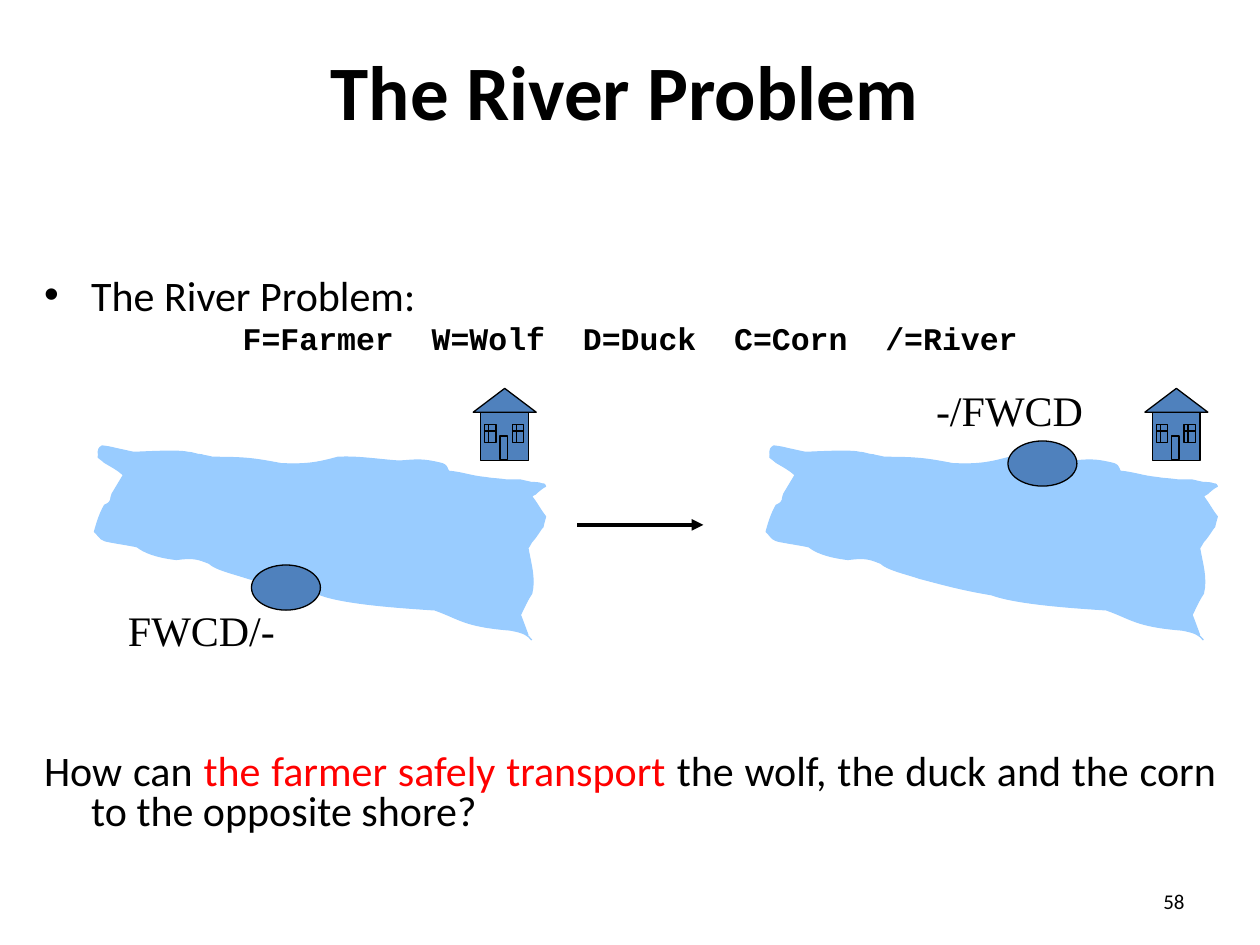
from lxml import etree
from pptx import Presentation
from pptx.dml.color import RGBColor
from pptx.enum.shapes import MSO_CONNECTOR, MSO_SHAPE
from pptx.enum.text import MSO_ANCHOR, PP_ALIGN
from pptx.oxml.ns import qn
from pptx.util import Cm, Pt

LINE = MSO_CONNECTOR.STRAIGHT
RECT, OVAL, ROOF = MSO_SHAPE.RECTANGLE, MSO_SHAPE.OVAL, MSO_SHAPE.FLOWCHART_EXTRACT
TOP, MID = MSO_ANCHOR.TOP, MSO_ANCHOR.MIDDLE
LEFT, MIDST, RIGHT, FULL = PP_ALIGN.LEFT, PP_ALIGN.CENTER, PP_ALIGN.RIGHT, PP_ALIGN.JUSTIFY
BLACK, BLUE, WATER, RED = "000000", "4F81BD", "99CCFF", "FF0000"
SHIFT = 13.54
UNIT = 0.0254

START = (422, 508)
BANK = [
    (419, 504, 416, 502, 405, 500), (368, 497, 365, 491, 345, 484),
    (314, 482, 273, 479, 254, 472), (230, 468, 216, 464, 197, 459),
    (185, 455, 171, 452, 166, 447), (158, 444, 155, 442, 140, 444),
    (123, 442, 114, 438, 109, 434), (106, 433, 85, 430, 83, 429),
    (79, 428, 77, 423, 75, 422), (77, 415, 79, 408, 83, 401),
    (90, 398, 87, 396, 89, 392), (92, 387, 95, 382, 98, 377),
    (94, 373, 88, 370, 83, 367), (82, 366, 78, 363, 78, 363),
    (79, 360, 76, 357, 81, 354), (82, 354, 89, 355, 92, 356),
    (97, 357, 101, 358, 106, 359), (111, 359, 141, 357, 149, 359),
    (153, 359, 156, 361, 160, 361), (163, 362, 166, 362, 169, 363),
    (195, 363, 202, 364, 223, 368), (244, 369, 253, 367, 268, 363),
    (284, 362, 301, 365, 317, 366), (331, 365, 335, 364, 351, 368),
    (356, 370, 354, 372, 356, 374), (367, 375, 374, 378, 385, 379),
    (390, 380, 396, 380, 402, 381), (406, 381, 410, 381, 413, 381),
    (416, 382, 419, 382, 422, 383), (424, 383, 428, 383, 430, 384),
    (433, 384, 432, 385, 433, 386), (432, 386, 427, 390, 425, 392),
    (424, 392, 422, 394, 422, 394), (426, 399, 429, 405, 433, 410),
    (429, 424, 433, 414, 428, 422), (426, 425, 424, 428, 422, 430),
    (421, 432, 419, 435, 419, 435), (421, 447, 425, 459, 422, 471),
    (418, 477, 416, 482, 413, 488), (415, 493, 419, 504, 419, 504),
]


def hue(code):
    return RGBColor.from_string(code)


def paint(shape, fill, edge):
    shape.shadow.inherit = False
    shape.fill.solid()
    shape.fill.fore_color.rgb = hue(fill)
    shape.line.color.rgb = hue(edge)
    shape.line.width = Pt(0.75)


def block(shapes, kind, x, y, w, h):
    shape = shapes.add_shape(kind, Cm(x), Cm(y), Cm(w), Cm(h))
    paint(shape, BLUE, BLACK)


def stroke(shapes, x1, y1, x2, y2, width=0.75, head=False):
    line = shapes.add_connector(LINE, Cm(x1), Cm(y1), Cm(x2), Cm(y2))
    line.line.color.rgb = hue(BLACK)
    line.line.width = Pt(width)
    if head:
        etree.SubElement(line.line._get_or_add_ln(), qn("a:tailEnd"), type="triangle")
    etree.SubElement(line._element.spPr, qn("a:effectLst"))


def frame(shapes, x, y, w, h, anchor=TOP, wrap=True):
    box = shapes.add_textbox(Cm(x), Cm(y), Cm(w), Cm(h)).text_frame
    box.word_wrap = wrap
    box.vertical_anchor = anchor
    return box


def style(para, size, name="Calibri", bold=False, align=LEFT):
    para.alignment = align
    font = para.font
    font.size, font.name, font.bold = Pt(size), name, bold
    font.color.rgb = hue(BLACK)


def label(shapes, text, x, y, w, h, size, name="Calibri", **look):
    box = frame(shapes, x, y, w, h, look.pop("anchor", TOP), look.pop("wrap", True))
    para = box.paragraphs[0]
    para.text = text
    style(para, size, name, **look)


def indent(para, bullet=False):
    props = para._p.get_or_add_pPr()
    props.set("marL", str(Cm(0.95)))
    props.set("indent", str(-Cm(0.95)))
    if bullet:
        etree.SubElement(props, qn("a:buFont"), typeface="Arial")
        etree.SubElement(props, qn("a:buChar"), char="•")
    else:
        etree.SubElement(props, qn("a:buNone"))
    para.line_spacing = 0.8


def body(shapes):
    box = frame(shapes, 0.64, 5.5, 24.13, 12.28)
    lead = box.paragraphs[0]
    key, ask = box.add_paragraph(), box.add_paragraph()
    lead.text = "The River Problem:"
    key.text = "F=Farmer  W=Wolf  D=Duck  C=Corn  /=River"
    for text in ("How can ", "the farmer safely transport ",
                 "the wolf, the duck and the corn to the opposite shore?"):
        ask.add_run().text = text
    ask.runs[1].font.color.rgb = hue(RED)
    for para in (lead, key, ask):
        indent(para, para is lead)
    style(lead, 24)
    style(key, 18, "Courier New", True, MIDST)
    style(ask, 24, align=FULL)
    key.space_before = Pt(4.2)
    ask.space_before = Pt(227)


def turn(x, y, dx):
    return Cm((685 - y) * UNIT + dx), Cm((177 + x) * UNIT)


def river(shapes, dx):
    pen = shapes.build_freeform(*turn(*START, dx))
    pen.add_line_segments([turn(*part[4:], dx) for part in BANK], close=False)
    shape = pen.convert_to_shape()
    for edge, part in zip(list(shape._element.iter(qn("a:lnTo"))), BANK):
        edge.tag = qn("a:cubicBezTo")
        edge.clear()
        for i in (0, 2, 4):
            x, y = turn(*part[i:i + 2], dx)
            etree.SubElement(edge, qn("a:pt"), x=str(x - shape.left), y=str(y - shape.top))
    shape.rotation = 270
    paint(shape, WATER, WATER)


def window(shapes, x, y):
    block(shapes, RECT, x, y, 0.23, 0.36)
    stroke(shapes, x + 0.08, y, x + 0.08, y + 0.36)
    stroke(shapes, x, y + 0.13, x + 0.23, y + 0.13)


def house(shapes, dx):
    block(shapes, RECT, 9.69 + dx, 8.31, 0.96, 0.97)
    block(shapes, RECT, 10.08 + dx, 8.79, 0.15, 0.48)
    for x in (10.33, 9.77):
        window(shapes, x + dx, 8.56)
    block(shapes, ROOF, 9.54 + dx, 7.83, 1.27, 0.48)


def boat(shapes, x, y):
    block(shapes, OVAL, x, y, 1.39, 0.91)


def shore(shapes, text, x, y):
    label(shapes, text, x, y, 3.48, 1.27, 24, "Times New Roman", wrap=False)


def main():
    deck = Presentation()
    deck.slide_width, deck.slide_height = Cm(25.4), Cm(19.05)
    page = deck.slides.add_slide(deck.slide_layouts[6]).shapes
    label(page, "58", 18.21, 17.65, 5.92, 1.02, 12, align=RIGHT, anchor=MID)
    label(page, "The River Problem", 0.21, 0.22, 24.77, 3.18, 44,
          bold=True, align=MIDST, anchor=MID)
    body(page)
    near = page.add_group_shape().shapes
    river(near, 0)
    shore(near, "FWCD/-", 2.33, 12.07)
    house(near, 0)
    boat(near, 5.07, 11.39)
    river(page, SHIFT)
    shore(page, "-/FWCD", 18.62, 7.62)
    house(page.add_group_shape().shapes, SHIFT)
    boat(page, 20.32, 8.89)
    stroke(page, 11.64, 10.58, 14.18, 10.58, 2.25, True)
    deck.save("out.pptx")


if __name__ == "__main__":
    main()
